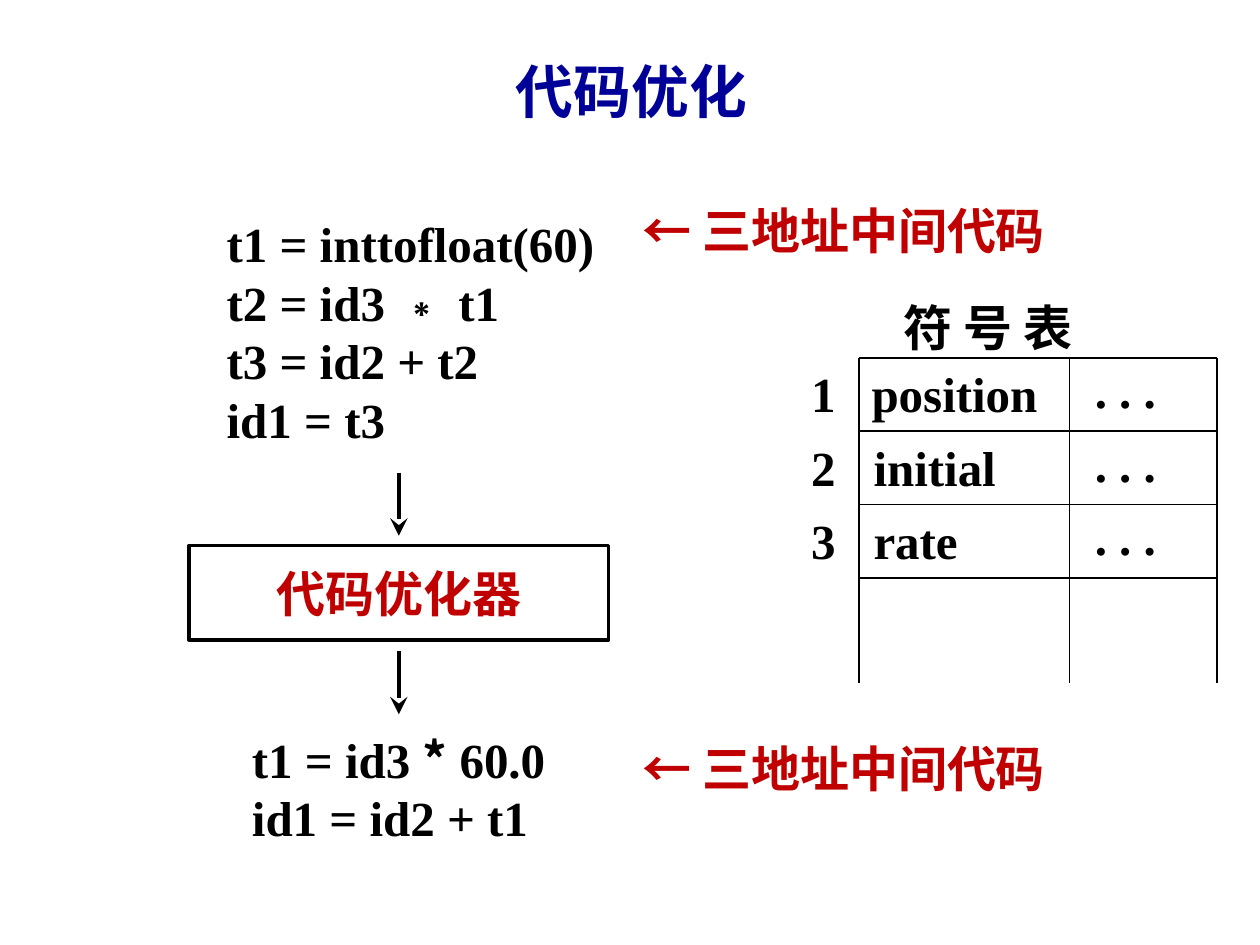
from lxml import etree
from pptx import Presentation
from pptx import util as u
from pptx.dml.color import RGBColor
from pptx.enum import shapes, text
from pptx.oxml.ns import qn

BLACK = RGBColor(0x00, 0x00, 0x00)
RED = RGBColor(0xC0, 0x00, 0x00)
NAVY = RGBColor(0x00, 0x00, 0x99)
SERIF = "Times New Roman"
HAN = "Noto Sans CJK SC"
HAN_LABEL = "Noto Sans CJK JP"


def format_span(span, face, color=BLACK, size=28):
    font = span.font
    font.name, font.size, font.bold = face, u.Pt(size), True
    font.color.rgb = color
    east_asian = etree.Element(qn("a:ea"), typeface=HAN if face == SERIF else face)
    span._r.get_or_add_rPr().find(qn("a:latin")).addnext(east_asian)


def format_frame(frame, face, color=BLACK, size=28):
    for para in frame.paragraphs:
        for span in para.runs:
            format_span(span, face, color, size)


def add_text(page, box, content, face=SERIF, color=BLACK, anchor=text.MSO_ANCHOR.TOP):
    left, top, width, height = map(u.Cm, box)
    frame = page.shapes.add_textbox(left, top, width, height).text_frame
    frame.word_wrap = False
    frame.vertical_anchor = anchor
    frame.text = content
    format_frame(frame, face, color)
    return frame


def add_line(page, start, end, weight):
    line = page.shapes.add_connector(
        shapes.MSO_CONNECTOR.STRAIGHT, *map(u.Cm, start + end))
    line.line.color.rgb = BLACK
    line.line.width = u.Pt(weight)
    etree.SubElement(line._element.spPr, qn("a:effectLst"))
    return line


def add_arrow(page, start, end):
    arrow = add_line(page, start, end, 2)
    etree.SubElement(arrow.line._get_or_add_ln(), qn("a:tailEnd"),
                     type="stealth", w="lg", len="lg")


def add_title(page, box):
    title = page.shapes.title
    title.left, title.top, title.width, title.height = map(u.Cm, box)
    frame = title.text_frame
    frame.text = "代码优化"
    frame.auto_size = text.MSO_AUTO_SIZE.NONE
    frame.vertical_anchor = text.MSO_ANCHOR.MIDDLE
    para = frame.paragraphs[0]
    para.alignment = text.PP_ALIGN.CENTER
    para.line_spacing = 0.9
    format_frame(frame, HAN_LABEL, NAVY, 33)


def add_optimizer_flow(page, box):
    left, top, width, height = box
    middle = text.MSO_ANCHOR.MIDDLE
    center = left + width / 2

    add_text(page, (left + 0.51, top + 0.02, 8, 5.28),
             "t1 = inttofloat(60)\nt2 = id3 ∗ t1\nt3 = id2 + t2\nid1 = t3", anchor=middle)

    optimizer = page.shapes.add_shape(
        shapes.MSO_SHAPE.RECTANGLE, u.Cm(left), u.Cm(top + 6.99), u.Cm(width), u.Cm(1.9))
    optimizer.shadow.inherit = False
    optimizer.fill.background()
    optimizer.line.color.rgb = BLACK
    optimizer.line.width = u.Pt(2)
    frame = optimizer.text_frame
    frame.word_wrap = False
    frame.vertical_anchor = middle
    frame.text = "代码优化器"
    frame.paragraphs[0].alignment = text.PP_ALIGN.CENTER
    format_frame(frame, HAN_LABEL, RED)

    for start in (5.52, 9.12):
        add_arrow(page, (center, top + start), (center, top + start + 1.27))

    result = add_text(page, (left + 1.02, top + height - 2.97, 7.24, 2.97),
                      "\nid1 = id2 + t1", anchor=middle)
    for part, face in (("t1 = id3 ", SERIF), ("*", HAN), (" 60.0", SERIF)):
        span = result.paragraphs[0].add_run()
        span.text = part
        format_span(span, face)


def add_code_label(page, box):
    add_text(page, box, "← 三地址中间代码", HAN_LABEL, RED, text.MSO_ANCHOR.MIDDLE)


def add_symbol_table(page, box):
    left, top, width, height = box
    names = ["position", "initial", "rate"]
    row_height = 1.48
    name_width = 4.24

    add_text(page, (left + 0.64, top - 1.34, 5.51, 1.7), "符 号 表", HAN)

    for x in (left, left + name_width, left + width):
        add_line(page, (x, top), (x, top + height), 1)
    for index in range(len(names) + 1):
        y = top + index * row_height
        add_line(page, (left, y), (left + width, y), 1)

    for index, name in enumerate(names):
        y = top + index * row_height
        indent = 0.04 if index else 0
        add_text(page, (left - 1.22, y, 1.9, 1.27), str(index + 1))
        add_text(page, (left + indent, y, name_width, 1.27), name)
        add_text(page, (left + name_width + 0.26, y - 0.08, 3.38, 1.27), ". . .")


def main():
    deck = Presentation()
    deck.slide_width, deck.slide_height = u.Cm(25.4), u.Cm(19.05)
    page = deck.slides.add_slide(deck.slide_layouts[5])
    add_title(page, (8.64, 0.69, 8.18, 2.44))
    add_optimizer_flow(page, (3.81, 4.01, 8.46, 13.36))
    for top in (3.78, 14.63):
        add_code_label(page, (12.7, top, 8.99, 1.7))
    add_symbol_table(page, (17.32, 7.21, 7.22, 6.55))
    deck.save("out.pptx")


if __name__ == "__main__":
    main()
